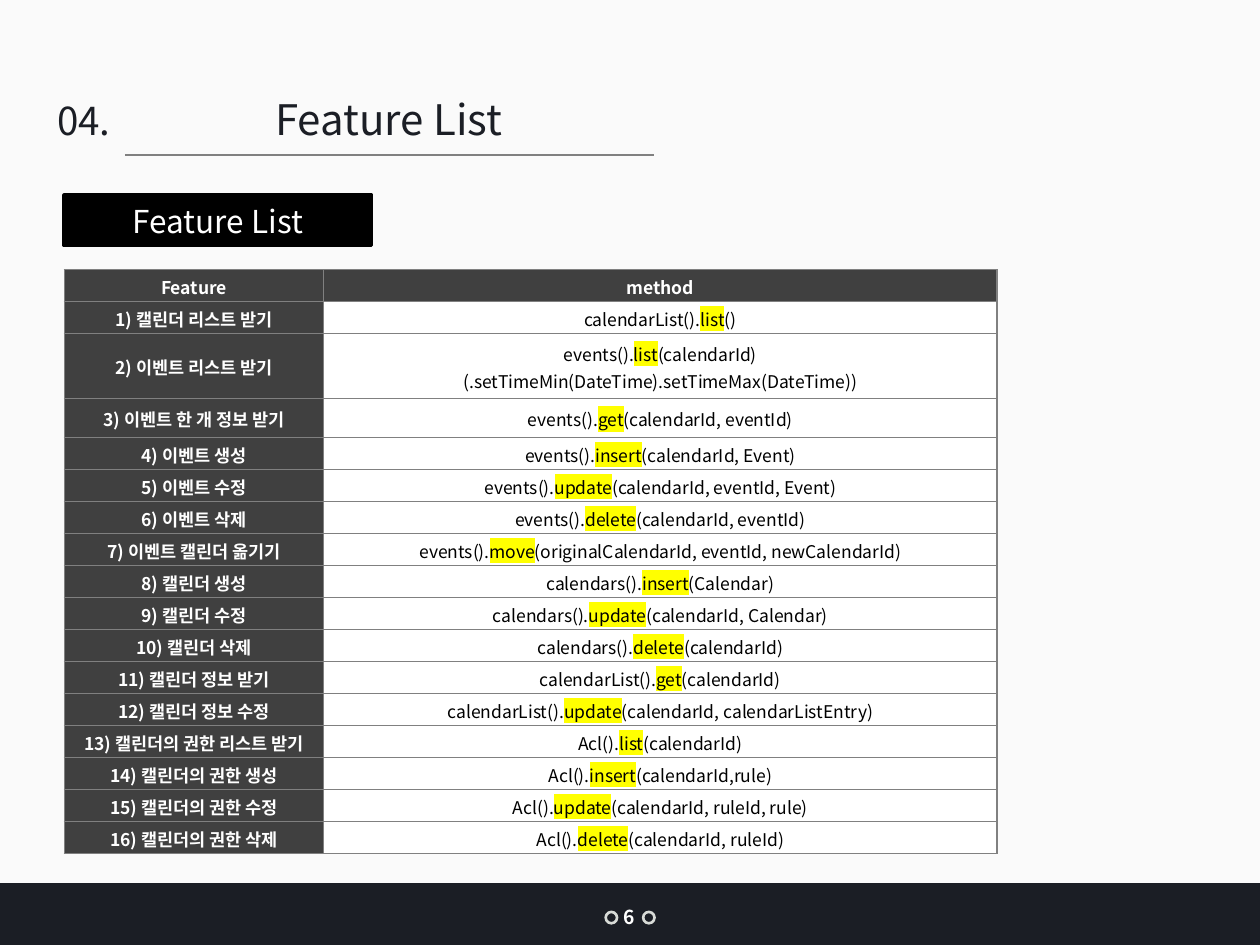
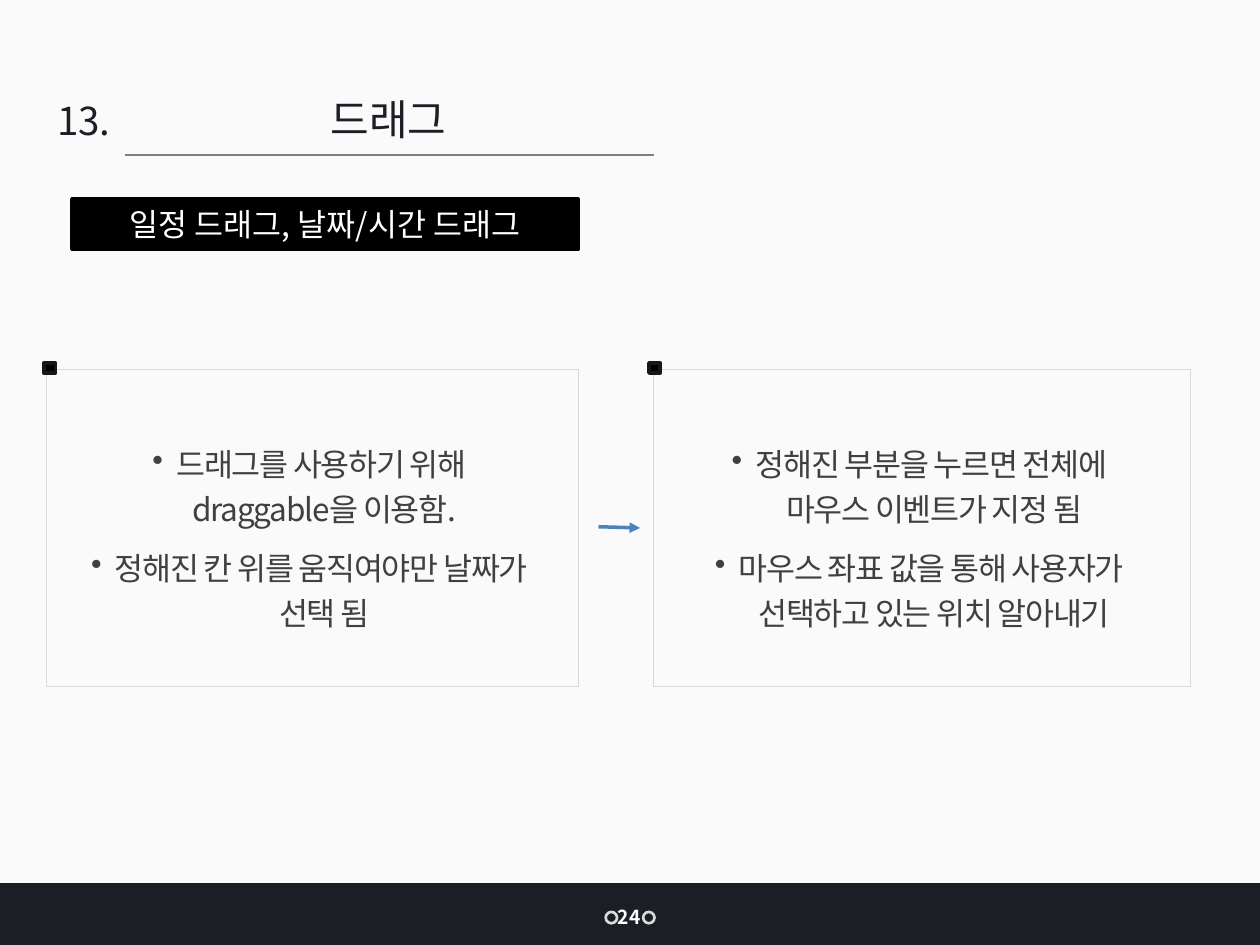
from dataclasses import dataclass

from lxml.etree import SubElement
from pptx import Presentation
from pptx.dml.color import RGBColor
from pptx.enum.shapes import MSO_CONNECTOR, MSO_SHAPE
from pptx.enum.text import MSO_ANCHOR, PP_ALIGN
from pptx.oxml.ns import qn
from pptx.util import Pt


@dataclass(frozen=True)
class Theme:
    font: str = "Noto Sans CJK KR"
    paper: str = "FAFAFA"
    ink: str = "1B1E25"
    white: str = "FFFFFF"
    black: str = "000000"
    gray: str = "808080"
    dark: str = "404040"
    pale: str = "D9D9D9"
    ring: str = "D8DBD7"
    marker: str = "1A1617"
    arrow: str = "4F81BD"
    highlight: str = "FFFF00"
    title: int = 24
    number: int = 22
    body: int = 18
    page: int = 11
    cell: int = 10


def rgb(value):
    return RGBColor.from_string(value)


class Deck:
    def __init__(self, theme):
        self.theme = theme
        self.prs = Presentation()
        self.prs.slide_width, self.prs.slide_height = Pt(720), Pt(540)
        self.s = None

    def slide(self, number, title, page):
        t = self.theme
        self.s = self.prs.slides.add_slide(self.prs.slide_layouts[6])
        fill = self.s.background.fill
        fill.solid()
        fill.fore_color.rgb = rgb(t.paper)
        self.shape(0, 504.7, 720, 35.3, t.ink)
        for x in (346.1, 367.5):
            self.shape(x, 521.1, 6.5, 6.5, t.ink, t.ring, 1.5, MSO_SHAPE.OVAL)
        self.text(50.4, 49.7, 343.4, 36, title, t.title, t.ink)
        self.line(71.3, 88.6, 373.7, 88.6, t.gray, 0.75)
        self.text(21.6, 51.8, 57.6, 33.8, f"{number}. ", t.number, t.ink)
        self.text(340, 513.3, 39.2, 20.9, str(page), t.page, t.white, True)

    def shape(self, x, y, w, h, fill=None, line=None, width=1, kind=MSO_SHAPE.RECTANGLE):
        sp = self.s.shapes.add_shape(kind, Pt(x), Pt(y), Pt(w), Pt(h))
        sp.shadow.inherit = False
        if fill:
            sp.fill.solid()
            sp.fill.fore_color.rgb = rgb(fill)
        else:
            sp.fill.background()
        if line:
            sp.line.color.rgb = rgb(line)
            sp.line.width = Pt(width)
        else:
            sp.line.fill.background()
        return sp

    def line(self, x1, y1, x2, y2, color, width, arrow=False):
        c = self.s.shapes.add_connector(MSO_CONNECTOR.STRAIGHT, Pt(x1), Pt(y1), Pt(x2), Pt(y2))
        c.line.color.rgb = rgb(color)
        c.line.width = Pt(width)
        if arrow:
            SubElement(c.line._get_or_add_ln(), qn("a:tailEnd"), type="triangle")
        SubElement(c._element.spPr, qn("a:effectLst"))

    def run(self, p, text, size, color, bold=False, highlight=None, spacing=None):
        r = p.add_run()
        r.text = text
        r.font.size = Pt(size)
        r.font.bold = bold
        r.font.color.rgb = rgb(color)
        rpr = r._r.get_or_add_rPr()
        if highlight:
            SubElement(SubElement(rpr, qn("a:highlight")), qn("a:srgbClr"), val=highlight)
        r.font.name = self.theme.font
        SubElement(rpr, qn("a:ea"), typeface=self.theme.font)
        if spacing:
            rpr.set("spc", str(round(spacing * 100)))

    def frame(self, tf, left=0, top=0, bottom=0):
        tf.word_wrap = True
        tf.vertical_anchor = MSO_ANCHOR.MIDDLE
        tf.margin_left = tf.margin_right = Pt(left)
        tf.margin_top, tf.margin_bottom = Pt(top), Pt(bottom)

    def paragraph(self, tf, index, spacing=None):
        p = tf.add_paragraph() if index else tf.paragraphs[0]
        p.alignment = PP_ALIGN.CENTER
        if spacing:
            p.line_spacing = spacing
        return p

    def label(self, sp, text, size, color, bold=False):
        self.frame(sp.text_frame)
        self.run(self.paragraph(sp.text_frame, 0), text, size, color, bold)

    def text(self, x, y, w, h, text, size, color, bold=False):
        box = self.s.shapes.add_textbox(Pt(x), Pt(y), Pt(w), Pt(h))
        self.label(box, text, size, color, bold)

    def badge(self, x, y, w, text):
        t = self.theme
        self.label(self.shape(x, y, w, 28.8, t.black, t.black, 2), text, t.body, t.white)

    def bullet_card(self, x, w, marker_x, items):
        t = self.theme
        tf = self.shape(x, 211, w, 181.4, None, t.pale, 0.5).text_frame
        self.frame(tf, 11.5, 11.1, 3.6)
        for i, item in enumerate(items):
            p = self.paragraph(tf, i, 1.2)
            if i:
                p.space_before = Pt(7.5)
            ppr = p._p.get_or_add_pPr()
            ppr.set("marL", str(Pt(13.7)))
            ppr.set("indent", str(-Pt(13.7)))
            SubElement(ppr, qn("a:buChar"), char="•")
            for j, part in enumerate(item.split("\n")):
                if j:
                    p.add_line_break()
                self.run(p, part, t.body, t.dark, spacing=-0.7)
        self.shape(marker_x, 207.4, 6.5, 5.8, t.black, t.marker, 2)

    def cell(self, cell, text, heading):
        t = self.theme
        cell.fill.solid()
        cell.fill.fore_color.rgb = rgb(t.dark if heading else t.white)
        cell.vertical_anchor = MSO_ANCHOR.MIDDLE
        cell.margin_left = cell.margin_right = Pt(5)
        cell.margin_top = cell.margin_bottom = 0
        for i, line in enumerate(text.split("\n")):
            p = self.paragraph(cell.text_frame, i, 1.07)
            for j, part in enumerate(line.split("|")):
                self.run(p, part, t.cell, t.white if heading else t.black, heading,
                         t.highlight if j == 1 else None)
        tcpr = cell._tc.get_or_add_tcPr()
        for i, side in enumerate(("lnL", "lnR", "lnT", "lnB")):
            ln = tcpr.makeelement(qn(f"a:{side}"), {"w": str(Pt(0.75))})
            SubElement(SubElement(ln, qn("a:solidFill")), qn("a:srgbClr"), val=t.gray)
            tcpr.insert(i, ln)

    def table(self, x, y, widths, heights, rows):
        frame = self.s.shapes.add_table(len(rows), len(widths), Pt(x), Pt(y),
                                        Pt(sum(widths)), Pt(sum(heights)))
        table = frame.table
        table.first_row = table.horz_banding = False
        for column, width in zip(table.columns, widths):
            column.width = Pt(width)
        for i, (row, height, values) in enumerate(zip(table.rows, heights, rows)):
            row.height = Pt(height)
            for j, value in enumerate(values):
                self.cell(row.cells[j], value, i == 0 or j == 0)


FEATURES = [
    ("캘린더 리스트 받기", "calendarList().|list|()"),
    ("이벤트 리스트 받기",
     "events().|list|(calendarId)\n(.setTimeMin(DateTime).setTimeMax(DateTime))"),
    ("이벤트 한 개 정보 받기", "events().|get|(calendarId, eventId)"),
    ("이벤트 생성", "events().|insert|(calendarId, Event)"),
    ("이벤트 수정", "events().|update|(calendarId, eventId, Event)"),
    ("이벤트 삭제", "events().|delete|(calendarId, eventId)"),
    ("이벤트 캘린더 옮기기", "events().|move|(originalCalendarId, eventId, newCalendarId)"),
    ("캘린더 생성", "calendars().|insert|(Calendar)"),
    ("캘린더 수정", "calendars().|update|(calendarId, Calendar)"),
    ("캘린더 삭제", "calendars().|delete|(calendarId)"),
    ("캘린더 정보 받기", "calendarList().|get|(calendarId)"),
    ("캘린더 정보 수정", "calendarList().|update|(calendarId, calendarListEntry)"),
    ("캘린더의 권한 리스트 받기", "Acl().|list|(calendarId)"),
    ("캘린더의 권한 생성", "Acl().|insert|(calendarId,rule)"),
    ("캘린더의 권한 수정", "Acl().|update|(calendarId, ruleId, rule)"),
    ("캘린더의 권한 삭제", "Acl().|delete|(calendarId, ruleId)"),
]


def feature_slide(deck):
    deck.slide("04", "Feature List", 6)
    deck.badge(36.7, 111.6, 175.7, "Feature List")
    rows = [("Feature", "method")]
    rows += [(f"{n}) {name}", method) for n, (name, method) in enumerate(FEATURES, 1)]
    heights = [18.3] * len(rows)
    heights[2:4] = 37.2, 22.3
    deck.table(36.7, 154.1, (148.2, 384.8), heights, rows)


def drag_slide(deck):
    deck.slide("13", "드래그", 24)
    deck.badge(41, 113.8, 289.4, "일정 드래그, 날짜/시간 드래그")
    deck.bullet_card(26.6, 303.8, 25.2, [
        "드래그를 사용하기 위해 \ndraggable을 이용함.",
        "정해진 칸 위를 움직여야만 날짜가 \n선택 됨",
    ])
    deck.bullet_card(373.7, 306.7, 370.8, [
        "정해진 부분을 누르면 전체에 \n마우스 이벤트가 지정 됨",
        "마우스 좌표 값을 통해 사용자가 \n선택하고 있는 위치 알아내기",
    ])
    deck.line(342, 301, 365.8, 301.7, deck.theme.arrow, 2, arrow=True)


def main():
    deck = Deck(Theme())
    feature_slide(deck)
    drag_slide(deck)
    deck.prs.save("out.pptx")


if __name__ == "__main__":
    main()
